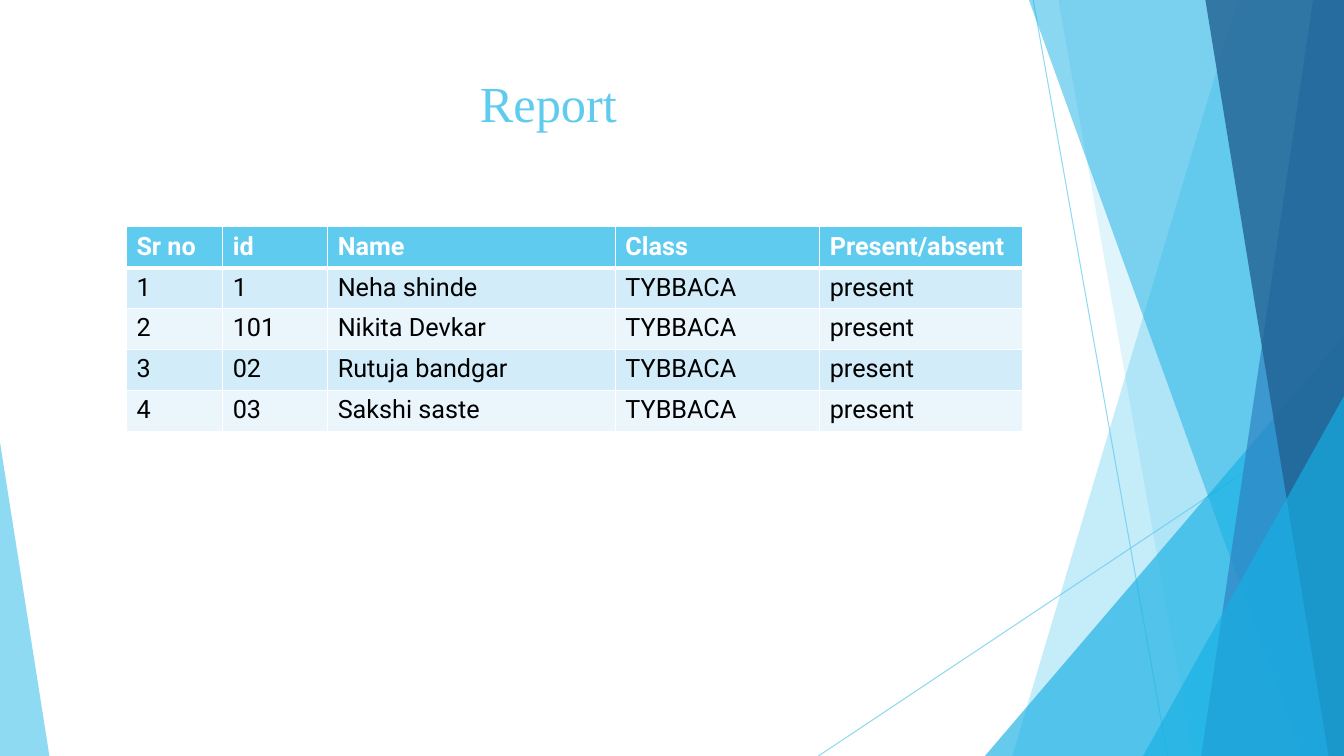
import pptx
import pptx.util
import pptx.dml.color
import pptx.enum.shapes
import pptx.enum.text
import pptx.oxml
import pptx.oxml.ns

Pt = pptx.util.Pt
WIDTH, HEIGHT = 960, 540
SKY, CYAN, BLUE, NAVY = "5FCBEF", "17B0E4", "2E83C3", "226292"
WHITE, BLACK = "FFFFFF", "000000"
BANDS = ["D2ECF9", "EAF6FC"]


def colour(hex_code):
    return pptx.dml.color.RGBColor.from_string(hex_code)


class ReportSlide:
    title_font = "Times New Roman"
    body_font = "Roboto"

    def __init__(self, deck):
        self.slide = deck.slides.add_slide(deck.slide_layouts[5])
        self.shapes = self.slide.shapes
        self.slide.background.fill.solid()
        self.slide.background.fill.fore_color.rgb = colour(WHITE)

    def fade(self, element, opacity):
        for tint in element.iter(pptx.oxml.ns.qn("a:srgbClr")):
            alpha = pptx.oxml.parse_xml(
                f'<a:alpha {pptx.oxml.ns.nsdecls("a")} val="{opacity * 1000}"/>')
            tint.append(alpha)

    def paint(self, facet, hex_code, opacity):
        facet.shadow.inherit = False
        facet.line.fill.background()
        facet.fill.solid()
        facet.fill.fore_color.rgb = colour(hex_code)
        self.fade(facet.fill._xPr, opacity)

    def title(self, text, left, top, width, height):
        heading = self.shapes.title
        heading.left, heading.top = Pt(left), Pt(top)
        heading.width, heading.height = Pt(width), Pt(height)
        frame = heading.text_frame
        frame.text = text
        frame.word_wrap = True
        frame.vertical_anchor = pptx.enum.text.MSO_ANCHOR.TOP
        paragraph = frame.paragraphs[0]
        paragraph.alignment = pptx.enum.text.PP_ALIGN.CENTER
        self.style(paragraph, self.title_font, 36, SKY, False)

    def style(self, paragraph, face, size, hex_code, bold):
        paragraph.font.name = face
        paragraph.font.size = Pt(size)
        paragraph.font.bold = bold
        paragraph.font.color.rgb = colour(hex_code)

    def ray(self, start, end):
        ray = self.shapes.add_connector(
            pptx.enum.shapes.MSO_CONNECTOR.STRAIGHT, *map(Pt, start + end))
        ray.line.width = Pt(0.75)
        ray.line.color.rgb = colour(SKY)
        properties = ray._element.spPr
        self.fade(properties, 70)
        properties.append(pptx.oxml.parse_xml(
            f'<a:effectLst {pptx.oxml.ns.nsdecls("a")}/>'))

    def facet(self, top_left, bottom_left, hex_code, opacity):
        outline = self.shapes.build_freeform(top_left, 0, scale=Pt(1))
        outline.add_line_segments(
            [(WIDTH, 0), (WIDTH, HEIGHT), (bottom_left, HEIGHT)], close=True)
        self.paint(outline.convert_to_shape(), hex_code, opacity)

    def corner(self, left, top, width, apex, hex_code, opacity):
        corner = self.shapes.add_shape(
            pptx.enum.shapes.MSO_SHAPE.ISOSCELES_TRIANGLE,
            Pt(left), Pt(top), Pt(width), Pt(HEIGHT - top))
        corner.adjustments[0] = apex
        self.paint(corner, hex_code, opacity)

    def borders(self, cell, top, bottom):
        properties = cell._tc.get_or_add_tcPr()
        weights = {"lnL": 1, "lnR": 1, "lnT": top, "lnB": bottom}
        for position, (side, weight) in enumerate(weights.items()):
            properties.insert(position, pptx.oxml.parse_xml(
                f'<a:{side} {pptx.oxml.ns.nsdecls("a")} w="{Pt(weight)}">'
                f'<a:solidFill><a:srgbClr val="{WHITE}"/></a:solidFill></a:{side}>'))

    def table(self, rows, left, top, widths, row_height):
        grid = self.shapes.add_table(
            len(rows), len(widths), Pt(left), Pt(top),
            Pt(sum(widths)), Pt(row_height * len(rows))).table
        for column, width in zip(grid.columns, widths):
            column.width = Pt(width)
        for r, values in enumerate(rows):
            header = r == 0
            for c, value in enumerate(values):
                cell = grid.cell(r, c)
                cell.text = value
                cell.fill.solid()
                cell.fill.fore_color.rgb = colour(SKY if header else BANDS[(r - 1) % 2])
                self.style(cell.text_frame.paragraphs[0], self.body_font, 18,
                           WHITE if header else BLACK, header)
                self.borders(cell, 3 if r == 1 else 1, 3 if header else 1)


def main():
    deck = pptx.Presentation()
    deck.slide_width, deck.slide_height = Pt(WIDTH), Pt(HEIGHT)
    report = ReportSlide(deck)

    report.ray((738, 0), (834, HEIGHT))
    report.ray((WIDTH, 290), (584.6, HEIGHT))
    report.facet(884, 723, SKY, 36)
    report.facet(756, 852, SKY, 20)
    report.corner(703.5, 240, 256.5, 1, CYAN, 66)
    report.facet(735, 929.5, CYAN, 50)
    report.facet(938, 858.5, BLUE, 70)
    report.facet(861, 949, NAVY, 80)
    report.corner(816.5, 283, 143.5, 1, CYAN, 66)
    report.corner(0, 316, 35.3, 0, SKY, 70)

    report.title("Report", 53.3, 48, 677, 70.5)
    students = [("1", "Neha shinde"), ("101", "Nikita Devkar"),
                ("02", "Rutuja bandgar"), ("03", "Sakshi saste")]
    attendance = [("Sr no", "id", "Name", "Class", "Present/absent")]
    attendance += [(str(number), student_id, name, "TYBBACA", "present")
                   for number, (student_id, name) in enumerate(students, 1)]
    report.table(attendance, 90.3, 162, [68.8, 75, 205.5, 146, 144.7], 29.2)

    deck.save("out.pptx")


if __name__ == "__main__":
    main()
